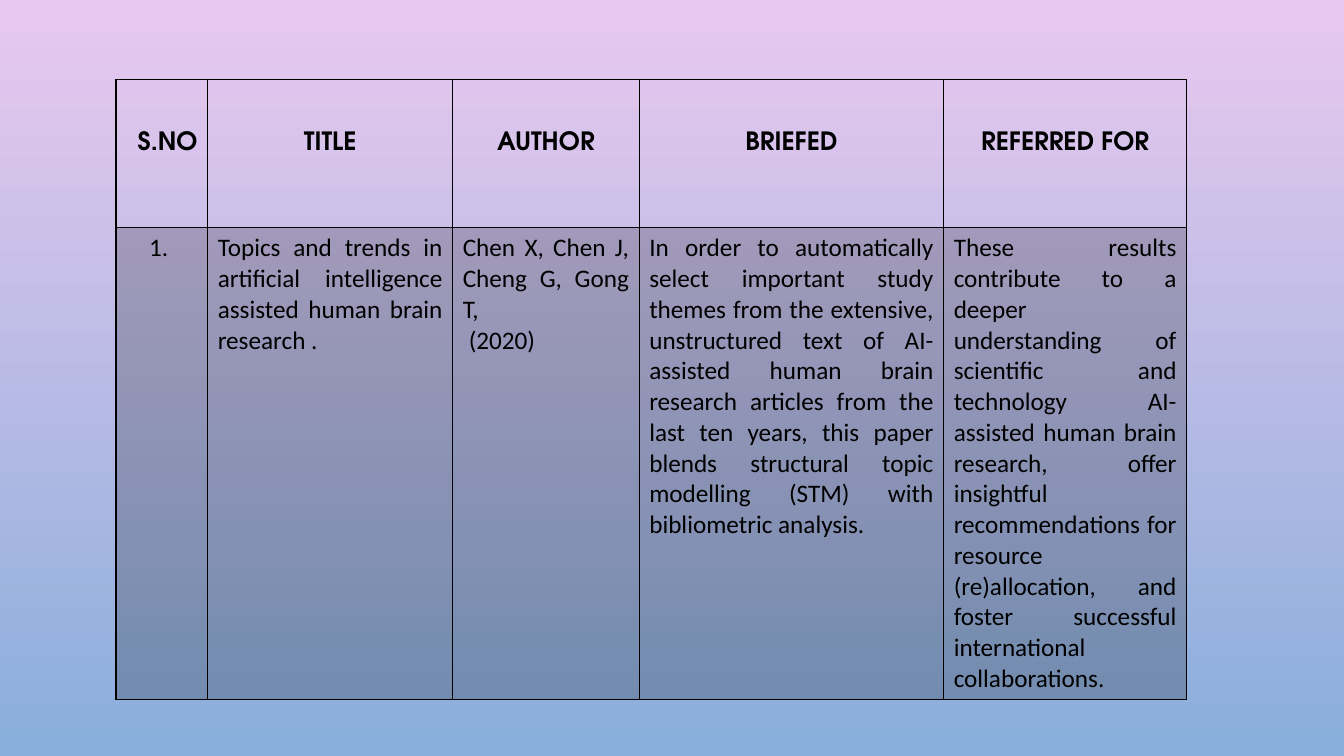
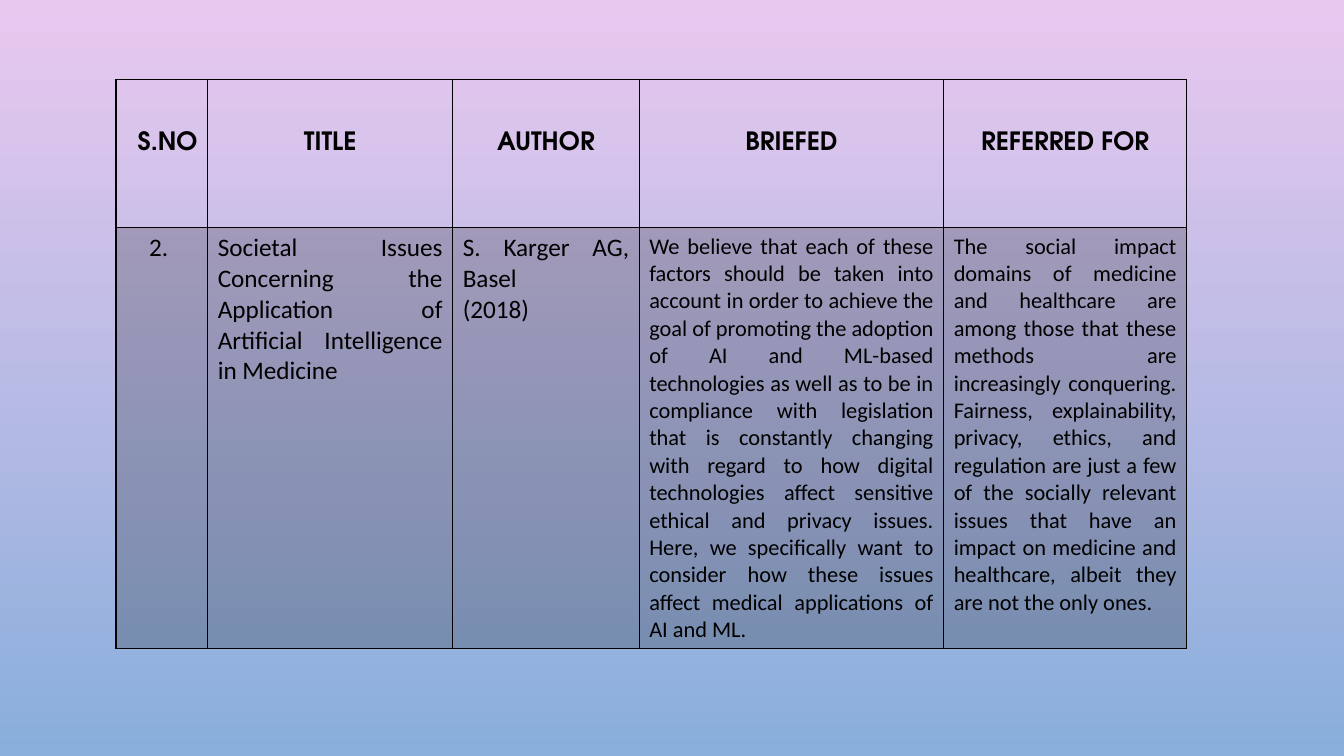
from lxml.etree import SubElement
from pptx import Presentation
from pptx.dml.color import RGBColor
from pptx.enum.text import PP_ALIGN as Align
from pptx.oxml import parse_xml
from pptx.oxml.ns import nsdecls, qn
from pptx.util import Inches, Pt

# Content: (heading, column width, heading alignment, body alignment)
COLUMNS = [
    ("S.NO", 0.91, Align.RIGHT, Align.LEFT),
    ("TITLE", 2.43, Align.CENTER, Align.JUSTIFY),
    ("AUTHOR", 1.85, Align.CENTER, Align.JUSTIFY),
    ("BRIEFED", 3.02, Align.CENTER, Align.JUSTIFY),
    ("REFERRED FOR", 2.41, Align.CENTER, Align.JUSTIFY),
]

# Each paper: text size of its last two columns, year indent, cells as lists of paragraphs
PAPERS = [
    {
        "summary_size": 18,
        "year_indent": 0.06,
        "cells": [
            ["1."],
            ["Topics and trends in artificial intelligence assisted human brain research ."],
            ["Chen X, Chen J, Cheng G, Gong T,", "(2020)"],
            ["In order to automatically select important study themes from the extensive, "
             "unstructured text of AI-assisted human brain research articles from the last ten "
             "years, this paper blends structural topic modelling (STM) with bibliometric "
             "analysis."],
            ["These results contribute to a deeper understanding of scientific and technology "
             "AI-assisted human brain research, offer insightful recommendations for resource "
             "(re)allocation, and foster successful international collaborations."],
        ],
    },
    {
        "summary_size": 16,
        "year_indent": 0,
        "cells": [
            ["2."],
            ["Societal Issues Concerning the Application of Artificial Intelligence in Medicine"],
            ["S. Karger AG, Basel", "(2018)"],
            ["We believe that each of these factors should be taken into account in order to "
             "achieve the goal of promoting the adoption of AI and ML-based technologies as well "
             "as to be in compliance with legislation that is constantly changing with regard to "
             "how digital technologies affect sensitive ethical and privacy issues. Here, we "
             "specifically want to consider how these issues affect medical applications of AI "
             "and ML."],
            ["The social impact domains of medicine and healthcare are among those that these "
             "methods are increasingly conquering. Fairness, explainability, privacy, ethics, and "
             "regulation are just a few of the socially relevant issues that have an impact on "
             "medicine and healthcare, albeit they are not the only ones."],
        ],
    },
]

# Shared style
BACKGROUND = ("E9C8EF", "89AEDB")
BLACK = "000000"
HEADING_FONT, BODY_FONT = "TeX Gyre Adventor", "Calibri"
TABLE_LEFT, TABLE_TOP = 1.15, 0.79
ROW_HEIGHTS = (1.47, 4.16)
NUMBER_MARGIN = 0.33
SHADE_OPACITY = 20


def color(value):
    return RGBColor.from_string(value)


def paint_background(slide):
    fill = slide.background.fill
    fill.gradient()
    fill.gradient_angle = 270
    for stop, value in zip(fill.gradient_stops, BACKGROUND):
        stop.color.rgb = color(value)


def shade(cell):
    """Fill a cell with translucent black."""
    cell.fill.solid()
    cell.fill.fore_color.rgb = color(BLACK)
    rgb = cell._tc.get_or_add_tcPr().find(".//" + qn("a:srgbClr"))
    SubElement(rgb, qn("a:alpha"), val=str(SHADE_OPACITY * 1000))


def add_borders(cell):
    properties = cell._tc.get_or_add_tcPr()
    for position, side in enumerate(("lnL", "lnR", "lnT", "lnB")):
        properties.insert(position, parse_xml(
            f'<a:{side} {nsdecls("a")} w="{Pt(1)}"><a:solidFill>'
            f'<a:srgbClr val="{BLACK}"/></a:solidFill></a:{side}>'))


def write(cell, lines, align, font_name, size=18, bold=False, spacing=None):
    cell.text_frame.text = "\n".join(lines)
    for paragraph in cell.text_frame.paragraphs:
        paragraph.alignment = align
        paragraph.line_spacing = spacing
        font = paragraph.font
        font.name, font.size, font.bold = font_name, Pt(size), bold
        font.color.rgb = color(BLACK)


def add_paper_slide(presentation, paper):
    slide = presentation.slides.add_slide(presentation.slide_layouts[6])
    paint_background(slide)

    # Table grid
    widths = [column[1] for column in COLUMNS]
    table = slide.shapes.add_table(
        len(ROW_HEIGHTS), len(COLUMNS), Inches(TABLE_LEFT), Inches(TABLE_TOP),
        Inches(sum(widths)), Inches(sum(ROW_HEIGHTS))).table
    table.first_row = table.horz_banding = False
    for row, height in zip(table.rows, ROW_HEIGHTS):
        row.height = Inches(height)

    # Headings and the paper's entries
    for index, (heading, width, heading_align, body_align) in enumerate(COLUMNS):
        table.columns[index].width = Inches(width)
        heading_cell, body_cell = table.cell(0, index), table.cell(1, index)
        write(heading_cell, [heading], heading_align, HEADING_FONT, bold=True, spacing=3.0)
        size = paper["summary_size"] if index >= 3 else 18
        write(body_cell, paper["cells"][index], body_align, BODY_FONT, size)
        heading_cell.fill.background()
        shade(body_cell)
        for cell in (heading_cell, body_cell):
            add_borders(cell)

    # Indents of the number and the year
    table.cell(1, 0).margin_left = Inches(NUMBER_MARGIN)
    year = table.cell(1, 2).text_frame.paragraphs[-1]
    year._p.get_or_add_pPr().set("marL", str(Inches(paper["year_indent"])))


def main():
    presentation = Presentation()
    presentation.slide_width, presentation.slide_height = Inches(13.33), Inches(7.5)
    for paper in PAPERS:
        add_paper_slide(presentation, paper)
    presentation.save("out.pptx")


if __name__ == "__main__":
    main()
